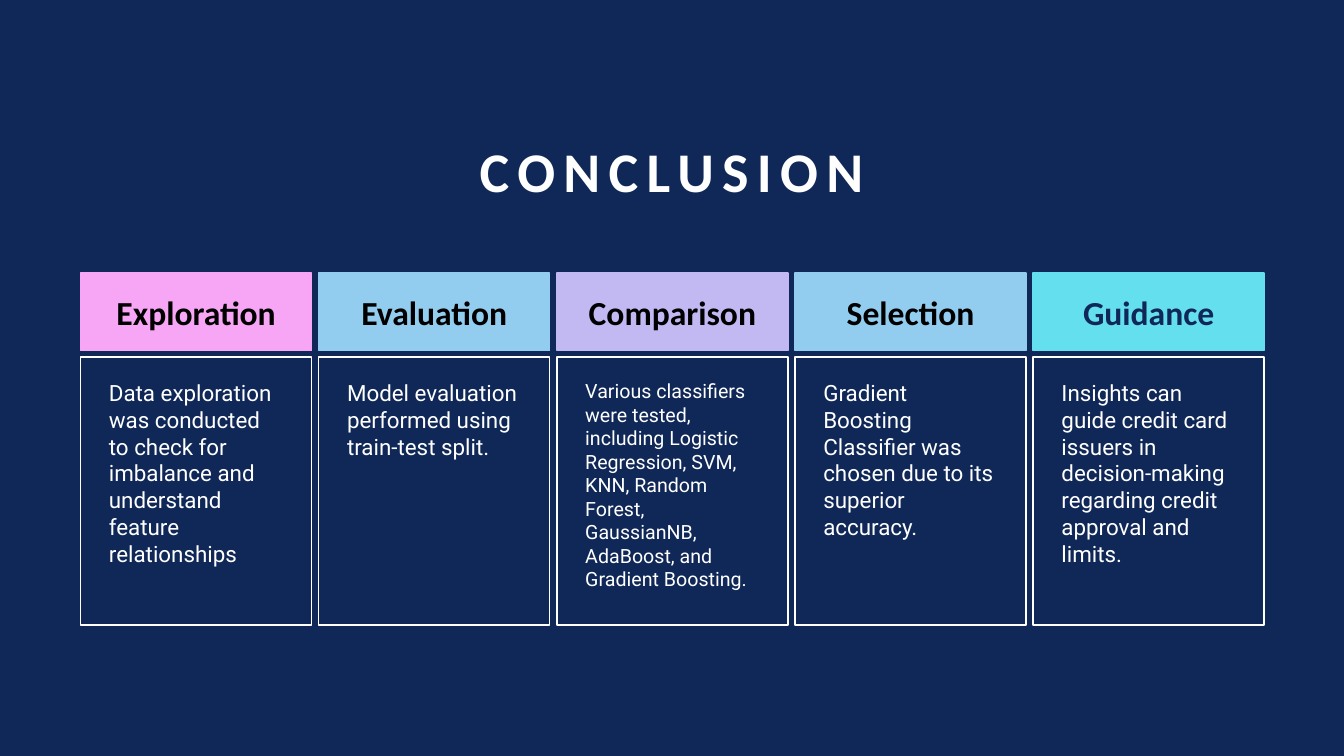
import pptx
import pptx.dml.color
import pptx.enum.shapes
import pptx.enum.text
import pptx.util

Pt = pptx.util.Pt
RGBColor = pptx.dml.color.RGBColor
PP_ALIGN = pptx.enum.text.PP_ALIGN
MSO_ANCHOR = pptx.enum.text.MSO_ANCHOR

NAVY = RGBColor(0x10, 0x28, 0x57)
WHITE = RGBColor(0xFF, 0xFF, 0xFF)
BLACK = RGBColor(0x00, 0x00, 0x00)
PINK = RGBColor(0xF6, 0xA6, 0xF4)
BLUE = RGBColor(0x92, 0xCD, 0xF0)
LILAC = RGBColor(0xC3, 0xB9, 0xF2)
CYAN = RGBColor(0x64, 0xDF, 0xED)

# Column grid, in points
COLUMN_LEFT, COLUMN_PITCH, COLUMN_WIDTH = 57.6, 170.1, 165
HEADER_TOP, HEADER_HEIGHT = 195.1, 55.5
BODY_TOP, BODY_HEIGHT = 254.9, 191.5

# Heading, fill, heading colour, body text, body size
COLUMNS = [
    ("Exploration", PINK, BLACK,
     "Data exploration was conducted to check for imbalance and understand feature relationships", 16),
    ("Evaluation", BLUE, BLACK,
     "Model evaluation performed using train-test split.", 16),
    ("Comparison", LILAC, BLACK,
     "Various classifiers were tested, including Logistic Regression, SVM, KNN, Random Forest, "
     "GaussianNB, AdaBoost, and Gradient Boosting.", 14),
    ("Selection", BLUE, BLACK,
     "Gradient Boosting Classifier was chosen due to its superior accuracy.", 16),
    ("Guidance", CYAN, NAVY,
     "Insights can guide credit card issuers in decision-making regarding credit approval and limits.", 16),
]


class ConclusionSlide:
    heading_font = "Calibri"
    body_font = "Roboto"

    def __init__(self, presentation):
        self.slide = presentation.slides.add_slide(presentation.slide_layouts[5])
        background = self.slide.background.fill
        background.solid()
        background.fore_color.rgb = NAVY

    def set_text(self, frame, text, font_name, size, color, bold, alignment, anchor):
        frame.word_wrap = True
        frame.auto_size = pptx.enum.text.MSO_AUTO_SIZE.NONE
        frame.vertical_anchor = anchor
        paragraph = frame.paragraphs[0]
        paragraph.text = text
        paragraph.alignment = alignment
        paragraph.font.name = font_name
        paragraph.font.size = Pt(size)
        paragraph.font.bold = bold
        paragraph.font.color.rgb = color
        return paragraph

    def title(self, text, left, top, width, height):
        title = self.slide.shapes.title
        title.left, title.top, title.width, title.height = map(Pt, (left, top, width, height))
        paragraph = self.set_text(title.text_frame, text, self.heading_font, 40, WHITE, True,
                                  PP_ALIGN.CENTER, MSO_ANCHOR.BOTTOM)
        paragraph.line_spacing = 0.9
        # Letter spacing in hundredths of a point
        paragraph.runs[0]._r.get_or_add_rPr().set("spc", "600")

    def box(self, left, top, height, line_color):
        shape = self.slide.shapes.add_shape(
            pptx.enum.shapes.MSO_SHAPE.RECTANGLE, Pt(left), Pt(top), Pt(COLUMN_WIDTH), Pt(height))
        shape.shadow.inherit = False
        shape.line.color.rgb = line_color
        shape.line.width = Pt(1)
        return shape

    def header(self, left, text, fill_color, text_color):
        shape = self.box(left, HEADER_TOP, HEADER_HEIGHT, fill_color)
        shape.fill.solid()
        shape.fill.fore_color.rgb = fill_color
        self.set_text(shape.text_frame, text, self.heading_font, 24, text_color, True,
                      PP_ALIGN.CENTER, MSO_ANCHOR.MIDDLE)

    def body(self, left, text, size):
        shape = self.box(left, BODY_TOP, BODY_HEIGHT, WHITE)
        shape.fill.background()
        frame = shape.text_frame
        frame.margin_left, frame.margin_top = Pt(20.2), Pt(15.8)
        frame.margin_right, frame.margin_bottom = Pt(21.6), Pt(3.6)
        self.set_text(frame, text, self.body_font, size, WHITE, False,
                      PP_ALIGN.LEFT, MSO_ANCHOR.TOP)


def main():
    presentation = pptx.Presentation()
    presentation.slide_width = Pt(960)
    presentation.slide_height = Pt(540)
    conclusion = ConclusionSlide(presentation)

    # Title
    conclusion.title("CONCLUSION", 130.3, 65.5, 699.1, 84.2)

    # Columns
    for index, (heading, fill_color, heading_color, text, size) in enumerate(COLUMNS):
        left = COLUMN_LEFT + index * COLUMN_PITCH
        conclusion.header(left, heading, fill_color, heading_color)
        conclusion.body(left, text, size)

    presentation.save("out.pptx")


if __name__ == "__main__":
    main()
